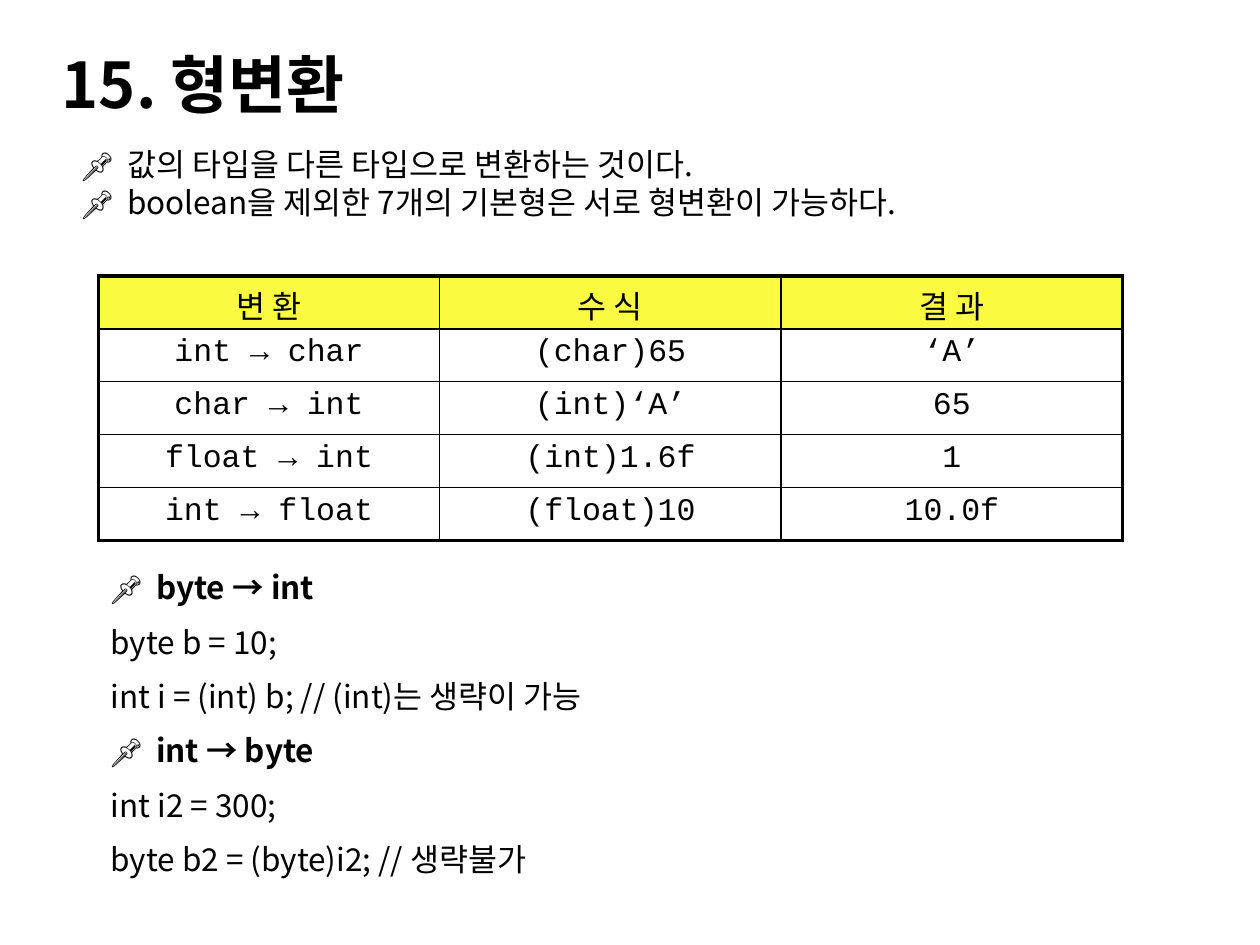
from dataclasses import dataclass

from lxml import etree
from pptx import Presentation
from pptx.dml.color import RGBColor
from pptx.enum.text import MSO_ANCHOR, MSO_AUTO_SIZE, PP_ALIGN
from pptx.oxml.ns import qn
from pptx.util import Inches, Pt


@dataclass(frozen=True)
class Theme:
    ink: str = "000000"
    header_fill: str = "FAFA40"
    font: str = "Noto Sans CJK KR"
    code_font: str = "Courier New"
    title_size: int = 36
    body_size: int = 18
    outer_line: float = 2.25
    inner_line: float = 1


THEME = Theme()
PIN = "📌  "
INTRODUCTION = [
    [(PIN, True), ("값의 타입을 다른 타입으로 변환하는 것이다.", False)],
    [(PIN, True), ("boolean을 제외한 7개의 기본형은 서로 형변환이 가능하다.", False)],
]
CONVERSIONS = [
    ("변 환", "수 식", "결 과"),
    ("int → char", "(char)65", "‘A’"),
    ("char → int", "(int)‘A’", "65"),
    ("float → int", "(int)1.6f", "1"),
    ("int → float", "(float)10", "10.0f"),
]
EXAMPLES = [
    [(PIN + "byte → int", True)],
    [("byte b = 10;", False)],
    [("int i = (int) b; // (int)는 생략이 가능", False)],
    [(PIN + "int → byte", True)],
    [("int i2 = 300;", False)],
    [("byte b2 = (byte)i2; // 생략불가", False)],
]


def set_values(target, values):
    for name, value in values.items():
        setattr(target, name, value)


def add_run(paragraph, text, bold=False, size=THEME.body_size, font=THEME.font):
    run = paragraph.add_run()
    run.text = text
    set_values(run.font, {"name": font, "size": Pt(size), "bold": bold})
    run.font.color.rgb = RGBColor.from_string(THEME.ink)
    east_asian = etree.SubElement(run.font._element, qn("a:ea"))
    east_asian.set("typeface", THEME.font)


def add_title(slide, box, text):
    title = slide.shapes.title
    set_values(title, dict(zip(("left", "top", "width", "height"), box)))
    set_values(title.text_frame, {
        "word_wrap": True,
        "auto_size": MSO_AUTO_SIZE.NONE,
        "vertical_anchor": MSO_ANCHOR.TOP,
    })
    paragraph = title.text_frame.paragraphs[0]
    paragraph.alignment = PP_ALIGN.LEFT
    add_run(paragraph, text, bold=True, size=THEME.title_size)


def add_lines(slide, box, lines, space_before=0):
    """Add a text box; each line is a list of (text, bold) runs."""
    frame = slide.shapes.add_textbox(*box).text_frame
    frame.word_wrap = True
    for index, runs in enumerate(lines):
        paragraph = frame.add_paragraph() if index else frame.paragraphs[0]
        paragraph.space_before = Pt(space_before)
        for text, bold in runs:
            add_run(paragraph, text, bold)


def set_borders(cell, widths):
    """Draw the cell's sides; widths maps a side's letter to points."""
    properties = cell._tc.get_or_add_tcPr()
    for position, (side, width) in enumerate(widths.items()):
        line = etree.Element(qn(f"a:ln{side}"), w=str(Pt(width)))
        fill = etree.SubElement(line, qn("a:solidFill"))
        etree.SubElement(fill, qn("a:srgbClr"), val=THEME.ink)
        properties.insert(position, line)


def add_conversion_table(slide, box, rows):
    last_row, last_column = len(rows) - 1, len(rows[0]) - 1
    table = slide.shapes.add_table(len(rows), len(rows[0]), *box).table
    set_values(table, {"first_row": False, "horz_banding": False})
    for row, texts in enumerate(rows):
        for column, text in enumerate(texts):
            cell = table.cell(row, column)
            if row == 0:
                cell.fill.solid()
                cell.fill.fore_color.rgb = RGBColor.from_string(THEME.header_fill)
            else:
                cell.fill.background()
            on_edge = {"L": column == 0, "R": column == last_column,
                       "T": row == 0, "B": row == last_row}
            set_borders(cell, {side: THEME.outer_line if edge else THEME.inner_line
                               for side, edge in on_edge.items()})
            paragraph = cell.text_frame.paragraphs[0]
            set_values(paragraph, {"alignment": PP_ALIGN.CENTER,
                                   "space_before": Pt(3.6)})
            add_run(paragraph, text, font=THEME.code_font if row else THEME.font)


def inches(*lengths):
    return [Inches(length) for length in lengths]


def main():
    presentation = Presentation()
    set_values(presentation, {"slide_width": Inches(10), "slide_height": Inches(7.5)})
    slide = presentation.slides.add_slide(
        presentation.slide_layouts.get_by_name("Title Only"))
    add_title(slide, inches(0.39, 0.31, 6.25, 0.71), "15. 형변환")
    add_lines(slide, inches(0.55, 1.1, 8.59, 1.04), INTRODUCTION)
    add_conversion_table(slide, inches(0.78, 2.19, 8.13, 2.1), CONVERSIONS)
    add_lines(slide, inches(0.78, 4.46, 8.13, 3), EXAMPLES, space_before=9.5)
    presentation.save("out.pptx")


if __name__ == "__main__":
    main()
